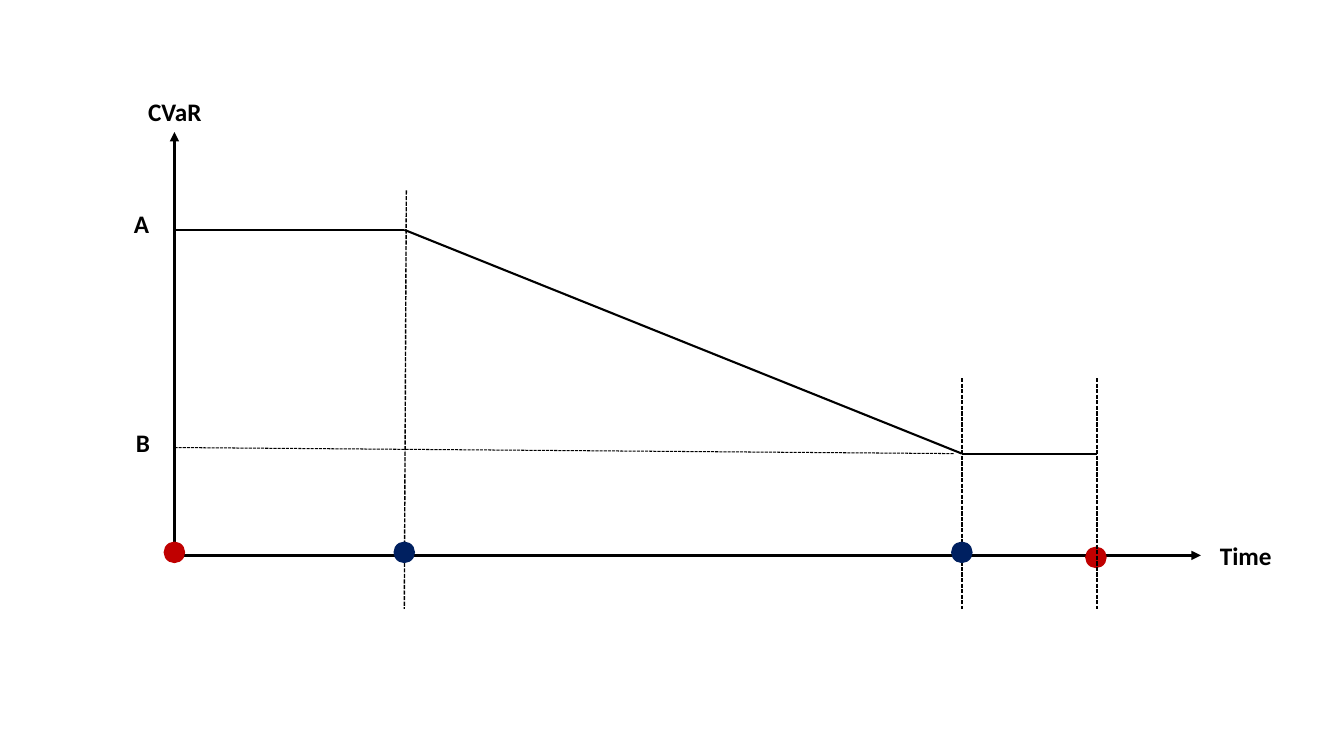
from itertools import pairwise

from lxml.etree import SubElement
from pptx import Presentation
from pptx.dml.color import RGBColor
from pptx.enum.dml import MSO_LINE
from pptx.enum.shapes import MSO_CONNECTOR, MSO_SHAPE
from pptx.enum.text import MSO_AUTO_SIZE
from pptx.oxml.ns import qn
from pptx.util import Inches, Pt

COLORS = {"ink": "000000", "endpoint": "C00000", "transition": "002060"}
LABEL_FORMAT = {"name": "Calibri", "size": Pt(18), "bold": True}
LABEL_HEIGHT = 0.4
DOT_SIZE = 0.2


def rgb(name):
    return RGBColor.from_string(COLORS[name])


def add_line(slide, start, end, width, dashed=False, arrow=False):
    ends = [Inches(value) for value in (*start, *end)]
    connector = slide.shapes.add_connector(MSO_CONNECTOR.STRAIGHT, *ends)
    connector.line.color.rgb = rgb("ink")
    connector.line.width = Pt(width)
    if dashed:
        connector.line.dash_style = MSO_LINE.SQUARE_DOT
    properties = connector._element.spPr
    if arrow:
        SubElement(properties.find(qn("a:ln")), qn("a:tailEnd"), type="triangle")
    SubElement(properties, qn("a:effectLst"))


def add_label(slide, text, left, top, width):
    box = [Inches(value) for value in (left, top, width, LABEL_HEIGHT)]
    frame = slide.shapes.add_textbox(*box).text_frame
    frame.word_wrap = False
    frame.auto_size = MSO_AUTO_SIZE.SHAPE_TO_FIT_TEXT
    frame.text = text
    font = frame.paragraphs[0].runs[0].font
    for attribute, value in LABEL_FORMAT.items():
        setattr(font, attribute, value)
    font.color.rgb = rgb("ink")


def add_dot(slide, center_x, center_y, color):
    box = (center_x - DOT_SIZE / 2, center_y - DOT_SIZE / 2, DOT_SIZE, DOT_SIZE)
    dot = slide.shapes.add_shape(MSO_SHAPE.OVAL, *[Inches(value) for value in box])
    dot.shadow.inherit = False
    dot.fill.solid()
    dot.fill.fore_color.rgb = rgb(color)
    dot.line.color.rgb = rgb(color)
    dot.line.width = Pt(1)


def add_cvar_chart(slide, left, top, width, height):
    """Draw the CVaR glide path; the box spans the two axes."""
    bottom = top + height
    origin = (left, bottom)
    decline_start, decline_end, horizon = (left + x for x in (2.28, 7.81, 9.15))
    level_a, level_b = top + 0.97, top + 3.19

    for tip in ((left + width, bottom), (left, top)):
        add_line(slide, origin, tip, 2.25, arrow=True)
    glide_path = [(left, level_a), (decline_start, level_a),
                  (decline_end, level_b), (horizon, level_b)]
    for start, end in pairwise(glide_path):
        add_line(slide, start, end, 1.5)

    add_label(slide, "CVaR", left - 0.36, top - 0.4, 0.74)
    add_label(slide, "Time", left + width + 0.09, bottom - 0.2, 0.72)
    add_label(slide, "A", left - 0.5, level_a - 0.26, 0.35)
    add_label(slide, "B", left - 0.48, level_b - 0.31, 0.35)

    add_line(slide, (left, level_b - 0.06), (decline_end - 0.08, level_b),
             0.75, dashed=True)
    dot_y = bottom - 0.03
    add_dot(slide, left, dot_y, "endpoint")
    add_dot(slide, horizon - 0.01, bottom + 0.02, "endpoint")
    guide_bottom = bottom + 0.53
    guide_tops = [(decline_start + 0.02, top + 0.58),
                  (decline_end, top + 2.44), (horizon, top + 2.44)]
    for guide_top, moment in zip(guide_tops, (decline_start, decline_end, horizon)):
        add_line(slide, guide_top, (moment, guide_bottom), 1, dashed=True)
    for moment in (decline_start, decline_end):
        add_dot(slide, moment, dot_y, "transition")


def main():
    presentation = Presentation()
    presentation.slide_width = Inches(13.33)
    presentation.slide_height = Inches(7.5)
    slide = presentation.slides.add_slide(presentation.slide_layouts[6])
    add_cvar_chart(slide, 1.73, 1.31, 10.18, 4.2)
    presentation.save("out.pptx")


if __name__ == "__main__":
    main()
